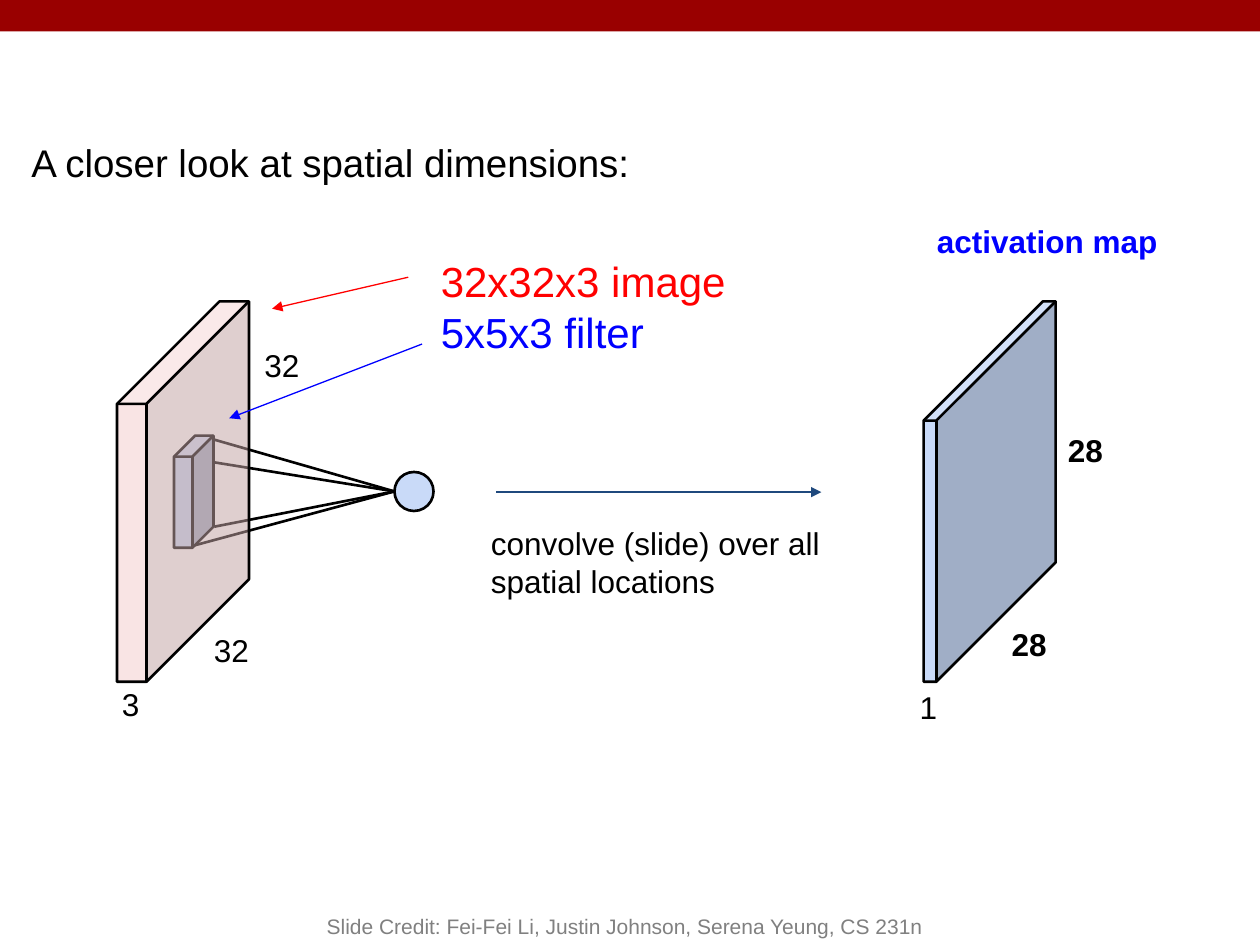
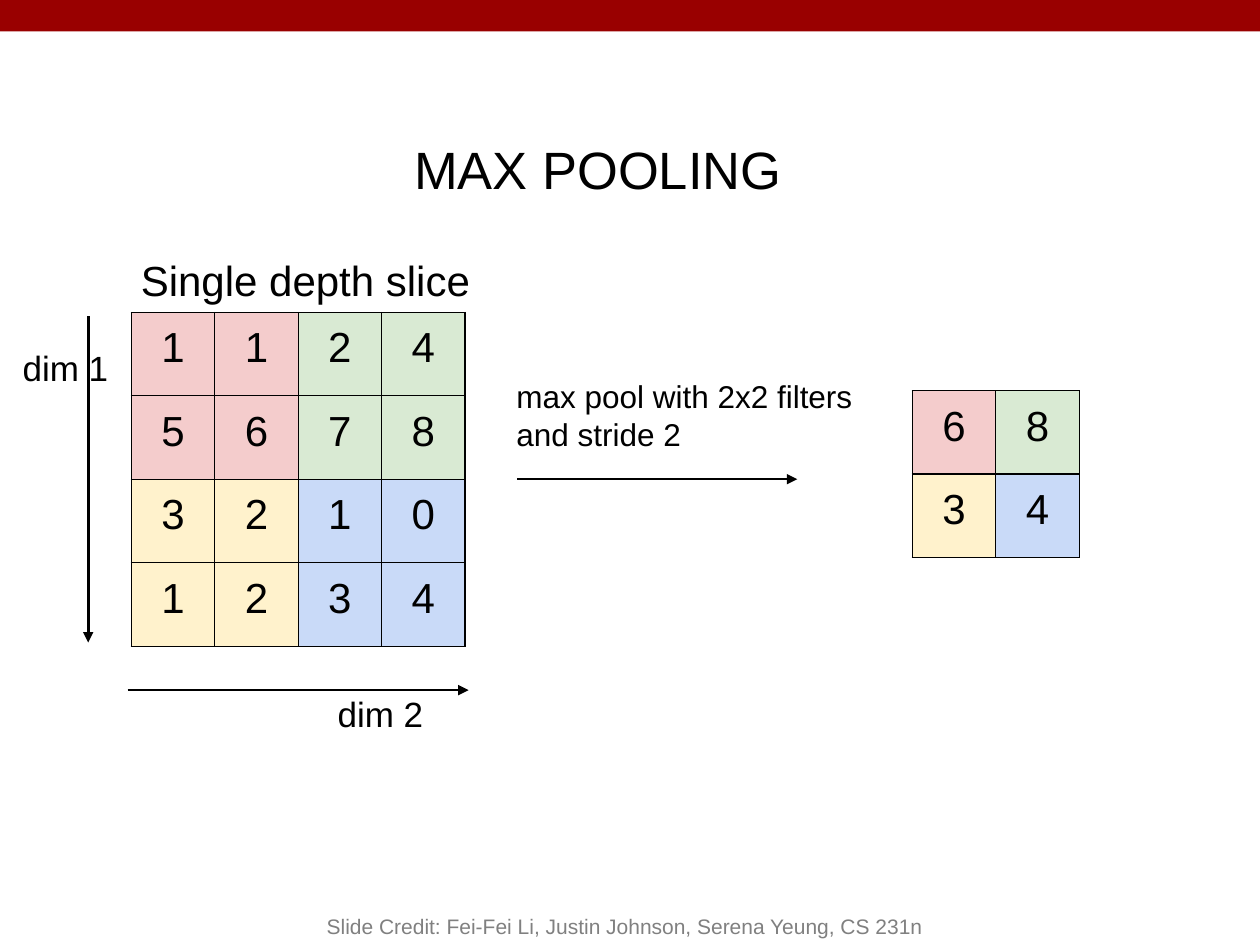
from lxml import etree
from pptx import Presentation
from pptx.dml.color import RGBColor
from pptx.enum.shapes import MSO_CONNECTOR, MSO_SHAPE
from pptx.enum.text import MSO_ANCHOR, PP_ALIGN
from pptx.oxml.ns import qn
from pptx.util import Pt

RECTANGLE, CUBE, OVAL = MSO_SHAPE.RECTANGLE, MSO_SHAPE.CUBE, MSO_SHAPE.OVAL
STRAIGHT = MSO_CONNECTOR.STRAIGHT
LEFT, CENTER = PP_ALIGN.LEFT, PP_ALIGN.CENTER
BOTTOM = MSO_ANCHOR.BOTTOM

BLACK = RGBColor(0x00, 0x00, 0x00)
CRIMSON = RGBColor(0x99, 0x00, 0x00)
RED = RGBColor(0xFF, 0x00, 0x00)
BLUE = RGBColor(0x00, 0x00, 0xFF)
NAVY = RGBColor(0x1F, 0x49, 0x7D)
GRAY = RGBColor(0x80, 0x80, 0x80)
PALE_RED = RGBColor(0xF4, 0xCC, 0xCC)
PALE_GREEN = RGBColor(0xD9, 0xEA, 0xD3)
PALE_YELLOW = RGBColor(0xFF, 0xF2, 0xCC)
PALE_BLUE = RGBColor(0xC9, 0xDA, 0xF8)

FONT = "Arial"
INSET = 7.2
CELL = 47.7
CREDIT = "Slide Credit: Fei-Fei Li, Justin Johnson, Serena Yeung, CS 231n"


def add_text(slide, box, text, size, color=BLACK, bold=False, align=LEFT, inset=INSET):
    text_box = slide.shapes.add_textbox(*[Pt(value) for value in box])
    frame = text_box.text_frame
    frame.word_wrap = True
    frame.margin_left = frame.margin_right = Pt(INSET)
    frame.margin_top = frame.margin_bottom = Pt(inset)
    frame.text = text
    for paragraph in frame.paragraphs:
        paragraph.alignment = align
        font = paragraph.runs[0].font
        font.name, font.size, font.bold = FONT, Pt(size), bold
        font.color.rgb = color
    return frame


def add_line(slide, ends, color=BLACK, width=1.5, arrow=True):
    connector = slide.shapes.add_connector(STRAIGHT, *[Pt(value) for value in ends])
    connector.line.color.rgb = color
    connector.line.width = Pt(width)
    properties = connector.element.spPr
    if arrow:
        etree.SubElement(properties.find(qn("a:ln")), qn("a:tailEnd"), type="triangle")
    etree.SubElement(properties, qn("a:effectLst"))


presentation = Presentation()
presentation.slide_width, presentation.slide_height = Pt(720), Pt(540)

for _ in range(2):
    slide = presentation.slides.add_slide(presentation.slide_layouts[6])
    band = slide.shapes.add_shape(RECTANGLE, 0, 0, Pt(720), Pt(18))
    band.shadow.inherit = False
    band.fill.solid()
    band.fill.fore_color.rgb = CRIMSON
    band.line.fill.background()
    footer = add_text(slide, (144, 504, 426.2, 36), CREDIT, 12, GRAY, align=CENTER, inset=3.6)
    footer.vertical_anchor = BOTTOM

convolution_slide, pooling_slide = presentation.slides

slide = convolution_slide
add_text(slide, (10.8, 72, 659.5, 47.5), "A closer look at spatial dimensions:", 22)

neuron_x, neuron_y = 225.4, 280.8
for corner_x, corner_y in [(108, 312.5), (109.4, 262.1), (120.2, 250.6), (122.4, 301)]:
    add_line(slide, (corner_x, corner_y, neuron_x, neuron_y), arrow=False)

solids = [
    (CUBE, (99.4, 248.9, 22.6, 64.1), 0.534, PALE_BLUE, 100),
    (OVAL, (225.4, 269.7, 22.3, 22.3), None, PALE_BLUE, 100),
    (CUBE, (66.9, 172.2, 75.4, 217.4), 0.777, PALE_RED, 52),
    (CUBE, (527.8, 172.2, 75.4, 217.4), 0.904, PALE_BLUE, 100),
]
for kind, box, depth, color, opacity in solids:
    solid = slide.shapes.add_shape(kind, *[Pt(value) for value in box])
    solid.shadow.inherit = False
    solid.fill.solid()
    solid.fill.fore_color.rgb = color
    solid.line.color.rgb = BLACK
    solid.line.width = Pt(1.5)
    if depth:
        solid.adjustments[0] = depth
    if opacity < 100:
        fill_color = solid.element.spPr.find(qn("a:solidFill"))[0]
        etree.SubElement(fill_color, qn("a:alpha"), val=str(opacity * 1000))

for ends, color in [
    ((233.3, 158.4, 155.5, 176.4), RED),
    ((241.2, 196.6, 131, 239), BLUE),
    ((283.7, 281.2, 469.4, 281.2), NAVY),
]:
    add_line(slide, ends, color, 0.75)

input_label = add_text(slide, (244.8, 139, 286.6, 43.2), "32x32x3 image\n5x5x3 filter", 24, RED)
input_label.paragraphs[1].runs[0].font.color.rgb = BLUE

for left, top, width, text, color, bold in [
    (115.2, 353.5, 38.9, "32", BLACK, False),
    (144, 190.4, 38.9, "32", BLACK, False),
    (62.6, 384.5, 38.9, "3", BLACK, False),
    (518.4, 386.2, 25.9, "1", BLACK, False),
    (571, 350, 38.9, "28", BLACK, True),
    (603.1, 239.2, 38.9, "28", BLACK, True),
    (528.3, 119.7, 141.8, "activation map", BLUE, True),
    (273.4, 292.3, 257.8, "convolve (slide) over all spatial locations", BLACK, False),
]:
    add_text(slide, (left, top, width, 24.5), text, 18, color, bold)

slide = pooling_slide
add_text(slide, (229.7, 71.3, 336.2, 51.8), "MAX POOLING", 30)
add_text(slide, (73.4, 138.2, 205.9, 44.6), "Single depth slice", 24)
add_text(slide, (5.8, 190.8, 72.7, 36.7), "dim 1", 20)
add_text(slide, (185.8, 388.8, 71.3, 28.8), "dim 2", 20)
add_text(slide, (288, 208.1, 211, 57.6), "max pool with 2x2 filters and stride 2", 18)

for ends in [
    (50.4, 180.7, 50.4, 367.2),
    (72.9, 394.4, 267.8, 394.4),
    (295.6, 273.8, 455.6, 273.8),
]:
    add_line(slide, ends)

quadrant_colors = [[PALE_RED, PALE_GREEN], [PALE_YELLOW, PALE_BLUE]]
for left, top, rows in [
    (75, 178.5, ["1124", "5678", "3210", "1234"]),
    (521.3, 223.2, ["68", "34"]),
]:
    count = len(rows)
    extent = Pt(CELL * count)
    table = slide.shapes.add_table(count, count, Pt(left), Pt(top), extent, extent).table
    table.first_row = table.horz_banding = False
    for index in range(count):
        table.columns[index].width = table.rows[index].height = Pt(CELL)
    for row, digits in enumerate(rows):
        for column, digit in enumerate(digits):
            cell = table.cell(row, column)
            cell.margin_left = cell.margin_right = Pt(INSET)
            cell.margin_top = cell.margin_bottom = Pt(INSET)
            cell.text_frame.text = digit
            paragraph = cell.text_frame.paragraphs[0]
            paragraph.alignment = CENTER
            font = paragraph.runs[0].font
            font.name, font.size = FONT, Pt(24)
            font.color.rgb = BLACK
            cell_properties = cell._tc.get_or_add_tcPr()
            for side in ("a:lnL", "a:lnR", "a:lnT", "a:lnB"):
                border = etree.SubElement(cell_properties, qn(side), w=str(Pt(0.75)))
                border_fill = etree.SubElement(border, qn("a:solidFill"))
                etree.SubElement(border_fill, qn("a:srgbClr"), val=str(BLACK))
            cell.fill.solid()
            cell.fill.fore_color.rgb = quadrant_colors[row * 2 // count][column * 2 // count]

presentation.save("out.pptx")
